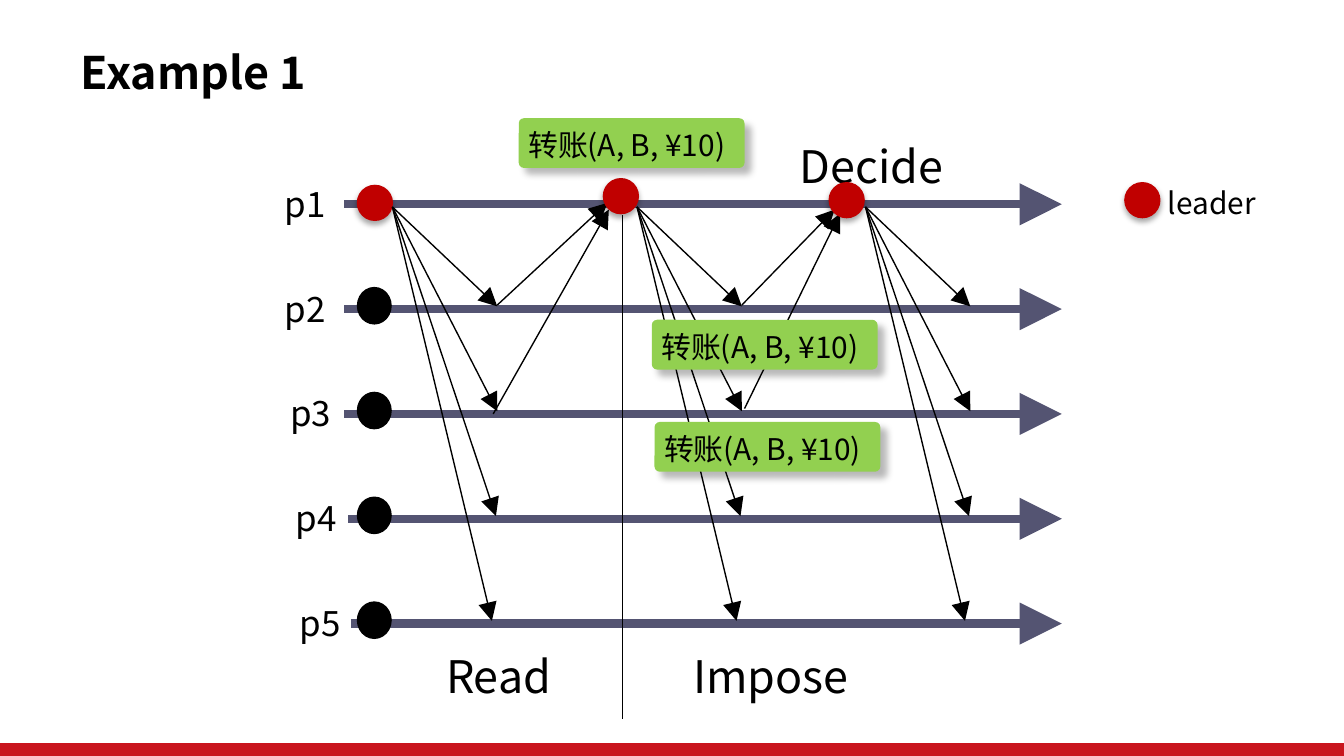
from lxml import etree
from pptx import Presentation
from pptx.dml.color import RGBColor
from pptx.enum.shapes import MSO_CONNECTOR, MSO_SHAPE
from pptx.enum.text import MSO_ANCHOR, PP_ALIGN
from pptx.oxml.ns import qn
from pptx.util import Inches, Pt

STRAIGHT = MSO_CONNECTOR.STRAIGHT
RECT, OVAL, ROUNDED = MSO_SHAPE.RECTANGLE, MSO_SHAPE.OVAL, MSO_SHAPE.ROUNDED_RECTANGLE
TOP, MIDDLE = MSO_ANCHOR.TOP, MSO_ANCHOR.MIDDLE
LEFT = PP_ALIGN.LEFT
FONT = "Noto Sans CJK SC"
COLORS = {"black": "000000", "red": "C00000", "bar": "C9151E", "green": "92D050", "axis": "545472"}
DOT_SHADOW = {"blur": 3.1, "dist": 1.8, "angle": 90, "alpha": 35}
CARD_SHADOW = {"blur": 4, "dist": 5, "angle": 45, "alpha": 27}
ROW_GAP = 0.78
FAN_DX = [0.78, 0.78, 0.77, 0.74]


def rgb(name):
    return RGBColor.from_string(COLORS[name])


def write(sp, text, size=24, bold=False, inset=(0.13, 0.07), spacing=None, wrap=False, anchor=TOP):
    tf = sp.text_frame
    tf.word_wrap = wrap
    tf.vertical_anchor = anchor
    tf.margin_left = tf.margin_right = Inches(inset[0])
    tf.margin_top = tf.margin_bottom = Inches(inset[1])
    p = tf.paragraphs[0]
    p.alignment = LEFT
    if spacing:
        p.line_spacing = spacing
    r = p.add_run()
    r.text = text
    r.font.size = Pt(size)
    r.font.bold = bold
    r.font.name = FONT
    r.font.color.rgb = rgb("black")
    etree.SubElement(r._r.get_or_add_rPr(), qn("a:ea"), typeface=FONT)


def add_text(s, box, text, **fmt):
    sp = s.shapes.add_textbox(*map(Inches, box))
    write(sp, text, **fmt)


def add_shadow(sp, blur, dist, angle, alpha):
    effects = sp._element.spPr.find(qn("a:effectLst"))
    shadow = etree.SubElement(effects, qn("a:outerShdw"), blurRad=str(Pt(blur)), dist=str(Pt(dist)),
                              dir=str(angle * 60000), algn="ctr", rotWithShape="0")
    color = etree.SubElement(shadow, qn("a:srgbClr"), val=COLORS["black"])
    etree.SubElement(color, qn("a:alpha"), val=str(alpha * 1000))


def add_shape(s, kind, box, color, outline=False, shadow=None):
    sp = s.shapes.add_shape(kind, *map(Inches, box))
    sp.shadow.inherit = False
    sp.fill.solid()
    sp.fill.fore_color.rgb = rgb(color)
    if outline:
        sp.line.color.rgb = rgb(color)
        sp.line.width = Pt(0.75)
    else:
        sp.line.fill.background()
    if shadow:
        add_shadow(sp, **shadow)
    return sp


def add_line(s, start, end, color="black", width=0.75, arrow=True):
    c = s.shapes.add_connector(STRAIGHT, *map(Inches, (*start, *end)))
    c.line.color.rgb = rgb(color)
    c.line.width = Pt(width)
    if arrow:
        ln = c._element.spPr.find(qn("a:ln"))
        etree.SubElement(ln, qn("a:tailEnd"), type="triangle", w="lg", len="lg")
    etree.SubElement(c._element.spPr, qn("a:effectLst"))


def leader_dot(s, x, y):
    add_shape(s, OVAL, (x, y, 0.26, 0.26), "red", outline=True, shadow=DOT_SHADOW)


def process_row(s, name, label_x, axis_x, y):
    add_line(s, (axis_x, y), (7.9, y), "axis", 4.5)
    add_text(s, (label_x, y - 0.21, 0.59, 0.44), name, size=18.7, spacing=0.95)
    if name == "p1":
        leader_dot(s, 2.66, y - 0.14)
    else:
        add_shape(s, OVAL, (2.66, y - 0.16, 0.25, 0.27), "black", outline=True)


def broadcast(s, x, y):
    for i, dx in enumerate(FAN_DX, 1):
        add_line(s, (x, y), (x + dx, y - 0.04 + ROW_GAP * i))


def transfer_card(s, x, y):
    sp = add_shape(s, ROUNDED, (x, y, 1.68, 0.37), "green", shadow=CARD_SHADOW)
    sp.adjustments[0] = 0.105
    write(sp, "转账(A, B, ¥10)", size=16, inset=(0.06, 0), anchor=MIDDLE)
    sp.text_frame.margin_top = Inches(0.03)


def title_block(s, x, y, w, h):
    title = s.shapes.title
    title.left, title.top, title.width, title.height = map(Inches, (x, y, w, h))
    write(title, "Example 1", bold=True, inset=(0.1, 0.05), anchor=MIDDLE)


def legend(s, x, y):
    leader_dot(s, x, y)
    add_text(s, (x + 0.32, y + 0.03, 0.87, 0.26), "leader", size=16, inset=(0, 0), spacing=0.95, wrap=True)


def timeline(s, top):
    rows = [("p1", 1.99, 2.56), ("p2", 1.99, 2.56), ("p3", 2.03, 2.56), ("p4", 2.07, 2.59), ("p5", 2.1, 2.61)]
    for i, (name, label_x, axis_x) in enumerate(rows):
        process_row(s, name, label_x, axis_x, top + ROW_GAP * i)

    for x in (2.92, 4.74, 6.44):
        broadcast(s, x, top + 0.02)

    replies = [((3.7, 0.75), (4.52, -0.01)), ((3.67, 1.56), (4.53, 0.04)),
               ((5.52, 0.75), (6.21, 0.04)), ((5.54, 1.52), (6.25, 0.07))]
    for (x1, y1), (x2, y2) in replies:
        add_line(s, (x1, top + y1), (x2, top + y2))

    add_text(s, (5.82, top - 0.53, 1.61, 0.52), "Decide", spacing=0.95, wrap=True)
    add_line(s, (4.63, top + 0.08), (4.63, top + 3.83), arrow=False)
    leader_dot(s, 4.49, top - 0.19)
    leader_dot(s, 6.17, top - 0.16)

    for x, y in ((3.86, -0.64), (4.85, 0.86), (4.87, 1.62)):
        transfer_card(s, x, top + y)
    for text, x, w in (("Read", 3.22, 1.18), ("Impose", 5.06, 1.51)):
        add_text(s, (x, top + 3.26, w, 0.5), text, inset=(0.1, 0.05), wrap=True)


def main():
    prs = Presentation()
    prs.slide_width = Inches(10)
    prs.slide_height = prs.slide_width * 9 // 16
    s = prs.slides.add_slide(prs.slide_layouts[5])
    add_shape(s, RECT, (0, 5.53, 10, 0.1), "bar")
    title_block(s, 0.5, 0.29, 6.96, 0.49)
    timeline(s, 1.52)
    legend(s, 8.37, 1.36)
    prs.save("out.pptx")


if __name__ == "__main__":
    main()
